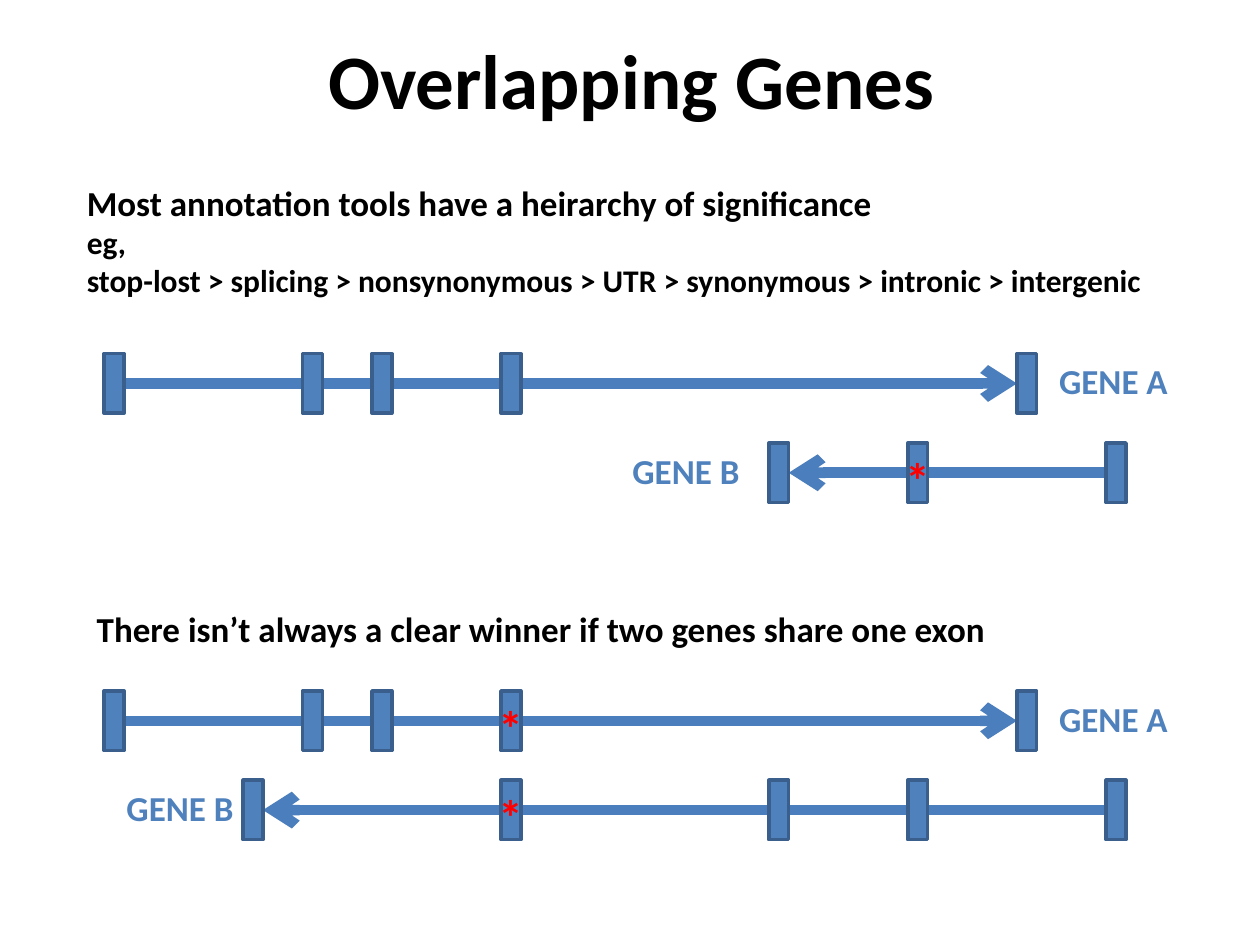
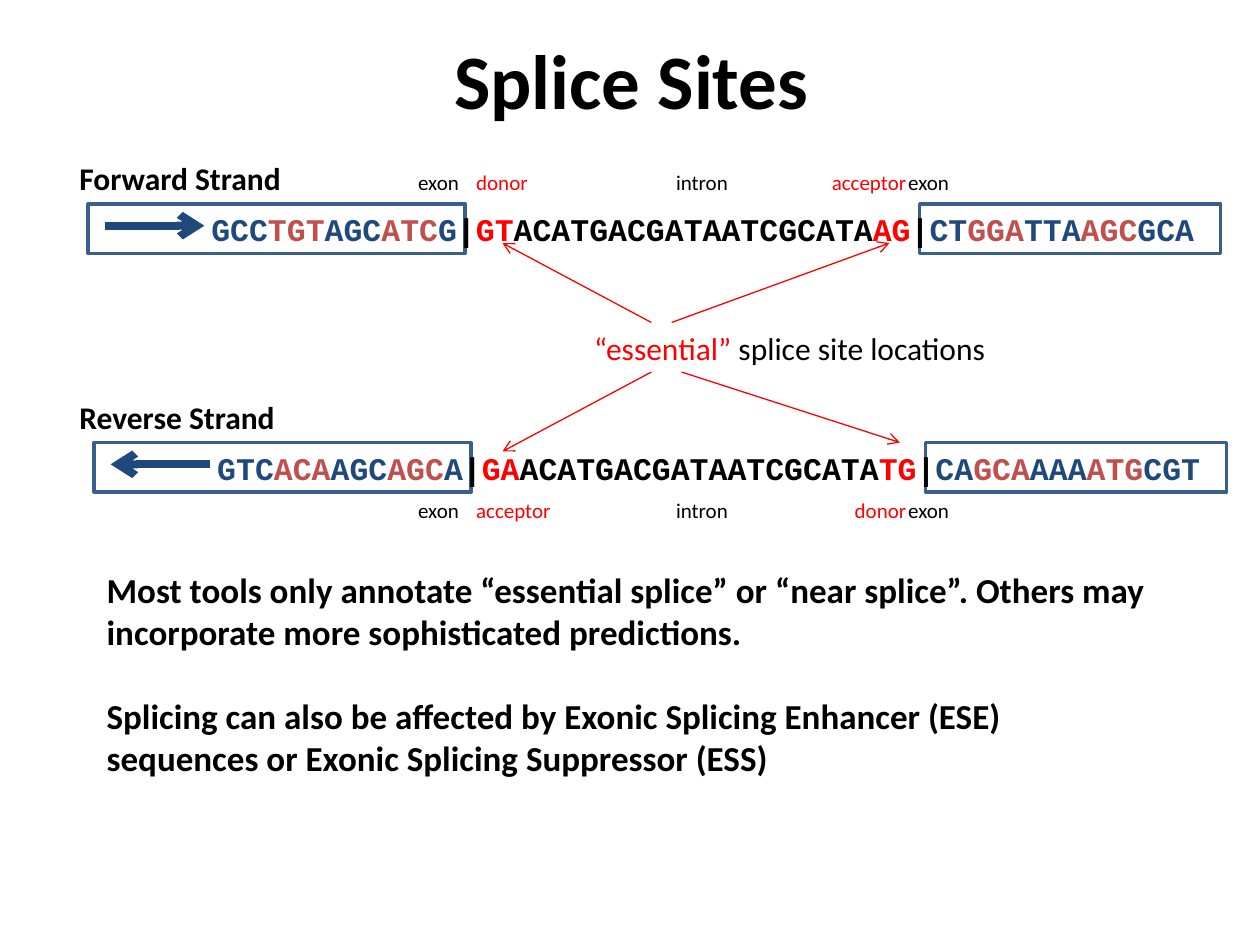
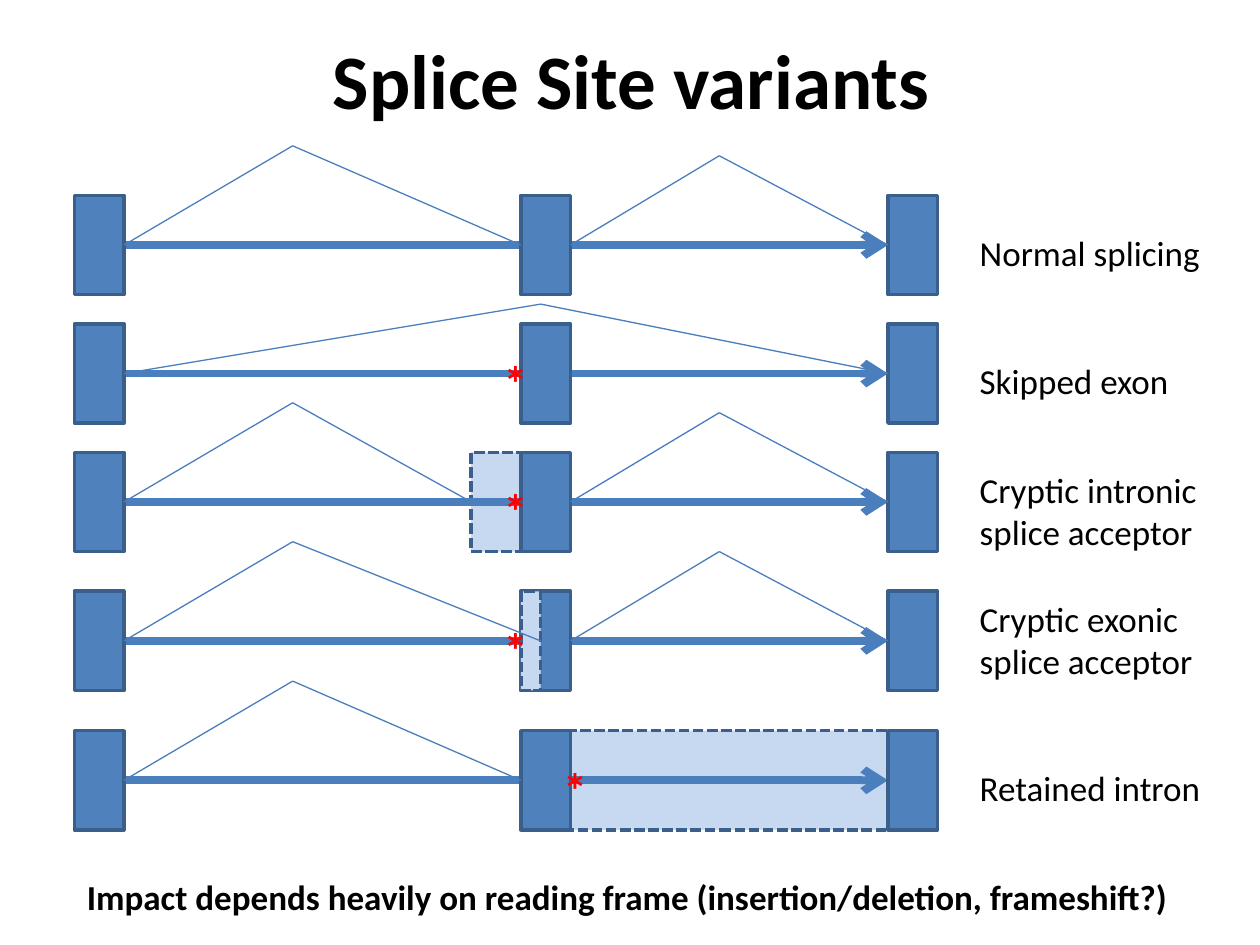
from dataclasses import dataclass
from itertools import cycle

from lxml import etree
from pptx import Presentation
from pptx import util as u
from pptx.dml import color as dml_color
from pptx.enum import dml, shapes, text
from pptx.oxml import ns


@dataclass(frozen=True)
class Theme:
    font: str = "Calibri"
    mono: str = "Courier New"
    black: str = "000000"
    red: str = "FF0000"
    blue: str = "4F81BD"
    line_blue: str = "4B7EBC"
    border: str = "3A5F8C"
    pale: str = "C6D9F1"
    navy: str = "1F497D"
    brick: str = "C0504D"
    title: int = 44
    star: int = 28
    body: int = 20
    small: int = 18
    tag: int = 12
    border_pt: float = 2
    hairline: float = 0.75


T = Theme()


def rgb(hex_value):
    return dml_color.RGBColor.from_string(hex_value)


def apply(target, formats):
    for name, value in formats.items():
        setattr(target, name, value)


def add_text(slide, box, paragraphs, size=T.body, color=T.black, bold=False,
             font=T.font, wrap=False, align=text.PP_ALIGN.LEFT,
             anchor=text.MSO_ANCHOR.TOP, gap=0):
    """Each paragraph is a string or a list of (string, format dict) runs."""
    frame = slide.shapes.add_textbox(*map(u.Cm, box)).text_frame
    apply(frame, {"word_wrap": wrap, "vertical_anchor": anchor})
    for index, content in enumerate(paragraphs):
        paragraph = frame.add_paragraph() if index else frame.paragraphs[0]
        apply(paragraph, {"alignment": align,
                          "space_before": u.Pt(gap if index else 0)})
        runs = [(content, {})] if isinstance(content, str) else content
        for words, changes in runs:
            run = paragraph.add_run()
            run.text = words
            style = {"size": size, "color": color} | changes
            apply(run.font, {"name": font, "bold": bold,
                             "size": u.Pt(style["size"])})
            run.font.color.rgb = rgb(style["color"])
    return frame


def add_tabbed(slide, box, words, stops, color=T.black):
    """Spread words over tab stops given as (cm, alignment)."""
    frame = add_text(slide, box, ["\t".join(words)], T.tag, color, wrap=True)
    properties = frame.paragraphs[0]._p.get_or_add_pPr()
    tabs = etree.SubElement(properties, ns.qn("a:tabLst"))
    for position, align in stops:
        etree.SubElement(tabs, ns.qn("a:tab"), pos=str(u.Cm(position)), algn=align)


def add_line(slide, start, end, color=T.line_blue, width=T.hairline, arrow=False):
    line = slide.shapes.add_connector(
        shapes.MSO_CONNECTOR.STRAIGHT, *map(u.Cm, (*start, *end)))
    line.line.color.rgb = rgb(color)
    line.line.width = u.Pt(width)
    if arrow:
        etree.SubElement(line.line._get_or_add_ln(), ns.qn("a:tailEnd"), type="arrow")
    etree.SubElement(line._element.spPr, ns.qn("a:effectLst"))


def add_exon(slide, box, fill=T.blue, dashed=False):
    exon = slide.shapes.add_shape(shapes.MSO_SHAPE.RECTANGLE, *map(u.Cm, box))
    exon.shadow.inherit = False
    if fill:
        exon.fill.solid()
        exon.fill.fore_color.rgb = rgb(fill)
    else:
        exon.fill.background()
    exon.line.color.rgb = rgb(T.border)
    exon.line.width = u.Pt(T.border_pt)
    if dashed:
        exon.line.dash_style = dml.MSO_LINE.SQUARE_DOT


def add_star(slide, left, top):
    add_text(slide, (left, top, 1.0, 1.44), ["*"], T.star, T.red, True)


def add_titled_slide(deck, title):
    slide = deck.slides.add_slide(deck.slide_layouts[6])
    add_text(slide, (1.3, 0, 22.86, 3.18), [title], T.title, bold=True, wrap=True,
             align=text.PP_ALIGN.CENTER, anchor=text.MSO_ANCHOR.MIDDLE)
    return slide


def gene(slide, top, name, name_left, exons, reverse=False, variant=None):
    """One gene: exons at the given lefts, read towards the last or first one."""
    width, height = 0.4, 1.2
    middle = top + height / 2
    ends = [(exons[0] + width, middle), (exons[-1], middle)]
    if reverse:
        ends.reverse()
    add_line(slide, *ends, width=6, arrow=True)
    for left in exons:
        add_exon(slide, (left, top, width, height))
    add_text(slide, (name_left, top, 2.72, 1.11), [name], color=T.blue, bold=True)
    if variant is not None:
        add_star(slide, variant - 0.3, top)


def overlapping_genes(deck):
    slide = add_titled_slide(deck, "Overlapping Genes")
    gene_a = [2.1, 6.1, 7.5, 10.1, 20.5]
    shared, pitch = 10.1, 1.8
    add_text(slide, (1.5, 3.53, 21.95, 2.64), [
        "Most annotation tools have a heirarchy of significance",
        [("eg,", {"size": T.small})],
        [("stop-lost > splicing > nonsynonymous > UTR > synonymous > "
          "intronic > intergenic", {"size": T.small})],
    ], bold=True)
    add_text(slide, (1.7, 12.12, 18.59, 1.11),
             ["There isn’t always a clear winner if two genes share one exon"],
             bold=True)
    cases = [
        (7.13, None, 12.5, [15.5, 18.3, 22.3], 18.3),
        (13.93, shared, 2.3, [4.9, shared, 15.5, 18.3, 22.3], shared),
    ]
    for top, variant_a, name_b_left, gene_b, variant_b in cases:
        gene(slide, top, "GENE A", 21.1, gene_a, variant=variant_a)
        gene(slide, top + pitch, "GENE B", name_b_left, gene_b, True, variant_b)


def codons(sequence):
    return [(codon, {"color": color}) for codon, color
            in zip(sequence.split(), cycle((T.navy, T.brick)))]


def strand(slide, left, top, name, inset, first, intron, last, sites, tags_drop,
           reverse=False):
    """A sequence row; codons and the parts of the intron are split at spaces."""
    add_text(slide, (left, top - 1.02, 4.6, 1.02), [name], T.small, bold=True)
    row = left + inset
    for dx, width in ((0, 7.6), (16.76, 6.07)):
        add_exon(slide, (row + dx, top, width, 1), fill=None)
    bar = [("|", {})]
    splice = [(part, {"color": color}) for part, color
              in zip(intron.split(), (T.red, T.black, T.red))]
    add_text(slide, (row + 2.23, top, 20.42, 1.02),
             [codons(first) + bar + splice + bar + codons(last)],
             T.small, bold=True, font=T.mono)
    ends = [(row + dx, top + 0.44) for dx in (0.33, 2.34)]
    if reverse:
        ends.reverse()
    add_line(slide, *ends, color=T.navy, width=4.5, arrow=True)
    tags_top = top + tags_drop
    add_tabbed(slide, (left + 6.83, tags_top, 11.66, 0.76),
               ("exon", "intron", "exon"), [(5.2, "l"), (9.88, "l")])
    add_tabbed(slide, (left + 8, tags_top, 9.35, 0.76), sites, [(8.67, "r")], T.red)


def splice_sites(deck):
    slide = add_titled_slide(deck, "Splice Sites")
    strand(slide, 1.35, 4.11, "Forward Strand", 0.43, "GCC TGT AGC ATC G",
           "GT ACATGACGATAATCGCATA AG", "CT GGA TTA AGC GCA",
           ("donor", "acceptor"), -0.82)
    strand(slide, 1.35, 8.92, "Reverse Strand", 0.55, "GTC ACA AGC AGC A",
           "GA ACATGACGATAATCGCATA TG", "CA GCA AAA ATG CGT",
           ("acceptor", "donor"), 0.99, reverse=True)
    add_text(slide, (11.73, 6.5, 8.48, 1.02),
             [[("“essential” ", {"color": T.red}), ("splice site locations", {})]],
             T.small)
    for start, site in (((13.13, 6.5), (10.13, 4.9)), ((13.54, 6.5), (17.93, 4.9)),
                        ((13.13, 7.5), (10.13, 9.1)), ((13.74, 7.5), (18.14, 8.92))):
        add_line(slide, start, site, T.red, arrow=True)
    add_text(slide, (1.9, 11.33, 21.6, 6.25), [
        "Most tools only annotate “essential splice” or “near splice”. "
        "Others may incorporate more sophisticated predictions.",
        "Splicing can also be affected by Exonic Splicing Enhancer (ESE) "
        "sequences or Exonic Splicing Suppressor (ESS)",
    ], bold=True, wrap=True, gap=24)


def transcript(slide, top, label, label_drop, joins, star=None, altered=None,
               altered_in_exon=False):
    """Three exons; joins are (start, peak, end, rise), altered is (left, width)."""
    exon_lefts, width, height = (1.5, 10.5, 17.9), 1, 2
    middle = top + height / 2

    def draw_altered():
        add_exon(slide, (altered[0], top, altered[1], height), T.pale, dashed=True)

    if altered and not altered_in_exon:
        draw_altered()
    add_line(slide, (exon_lefts[0] + width, middle), (exon_lefts[-1], middle),
             width=4.5, arrow=True)
    for left in exon_lefts:
        add_exon(slide, (left, top, width, height))
    if altered_in_exon:
        draw_altered()
    for start, peak, end, rise in joins:
        add_line(slide, (start, middle), (peak, middle - rise))
        add_line(slide, (peak, middle - rise), (end, middle))
    if star is not None:
        add_star(slide, star, top + 0.45)
    add_text(slide, (19.5, top + label_drop, 5.41, 1.11), [label], wrap=True)


def splice_site_variants(deck):
    slide = add_titled_slide(deck, "Splice Site variants")
    first_join = (2.5, 5.9, 10.5, 2)
    second_join = (11.5, 14.5, 17.9, 1.8)
    acceptor, donor = 9.9, 11.1
    transcript(slide, 3.94, "Normal splicing", 0.6, [first_join, second_join])
    transcript(slide, 6.53, "Skipped exon", 0.6, [(2.5, 10.9, 17.9, 1.4)], acceptor)
    transcript(slide, 9.12, "Cryptic intronic splice acceptor", 0.2,
               [(2.5, 5.9, 9.5, 2), second_join], acceptor, (9.5, 1))
    transcript(slide, 11.92, "Cryptic exonic splice acceptor", 0,
               [(2.5, 5.9, 10.9, 2), second_join], acceptor, (10.5, 0.4), True)
    transcript(slide, 14.73, "Retained intron", 0.6, [first_join], donor, (11.5, 6.4))
    add_text(slide, (1.5, 17.53, 22.53, 1.11),
             ["Impact depends heavily on reading frame "
              "(insertion/deletion, frameshift?)"], bold=True)


def main():
    deck = Presentation()
    apply(deck, {"slide_width": u.Cm(25.4), "slide_height": u.Cm(19.05)})
    for build in (overlapping_genes, splice_sites, splice_site_variants):
        build(deck)
    deck.save("out.pptx")


if __name__ == "__main__":
    main()
